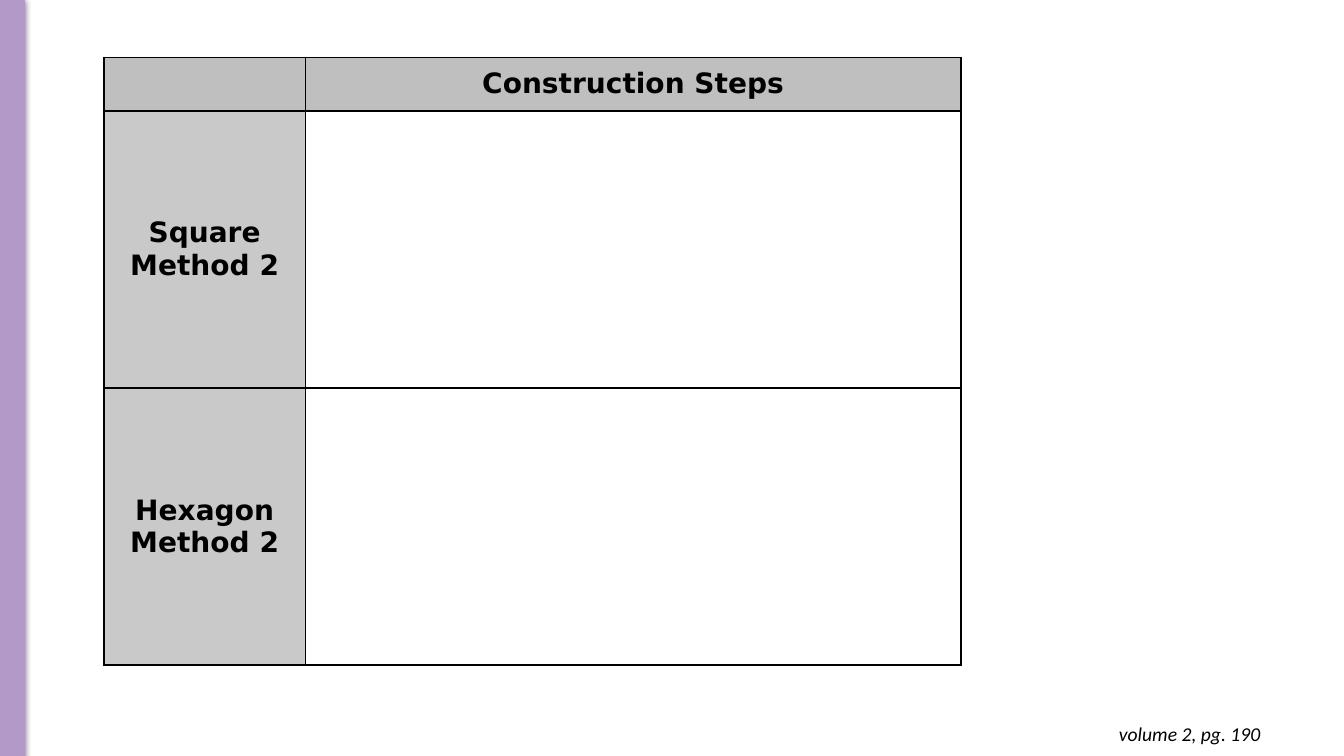
import pptx
import pptx.dml.color
import pptx.enum.shapes
import pptx.enum.text
import pptx.oxml
import pptx.oxml.ns
import pptx.util

PX = 9144
COLORS = {"accent": "B399C8", "header": "BFBFBF", "label": "C9C9C9", "ink": "000000"}
ALIGN = pptx.enum.text.PP_ALIGN
HEADING = {"size": pptx.util.Pt(20), "name": "DejaVu Sans", "bold": True}
REFERENCE = {"size": pptx.util.Pt(14), "name": "Calibri", "italic": True}


def px(value):
    return pptx.util.Emu(value * PX)


def color(key):
    return pptx.dml.color.RGBColor.from_string(COLORS[key])


def xml(tag, content):
    return pptx.oxml.parse_xml(
        f'<a:{tag} {pptx.oxml.ns.nsdecls("a")}>{content}</a:{tag.split()[0]}>')


def apply(target, values):
    for key, value in values.items():
        setattr(target, key, value)


def write(frame, text, font, align):
    paragraph = frame.paragraphs[0]
    paragraph.text = text
    paragraph.alignment = align
    for run in paragraph.runs:
        apply(run.font, font)
        run.font.color.rgb = color("ink")
    return paragraph


def add_side_bar(slide):
    bar = slide.shapes.add_shape(
        pptx.enum.shapes.MSO_SHAPE.RECTANGLE, px(0), px(-1), px(24), px(751))
    bar.fill.solid()
    bar.fill.fore_color.rgb = color("accent")
    bar.line.color.rgb = color("accent")
    bar.line.width = pptx.util.Pt(0.75)
    bar.shadow.inherit = False
    effects = bar.element.spPr.find(pptx.oxml.ns.qn("a:effectLst"))
    effects.append(xml(
        'outerShdw blurRad="57150" dist="19050" dir="5400000" algn="ctr" rotWithShape="0"',
        f'<a:srgbClr val="{COLORS["ink"]}"><a:alpha val="50000"/></a:srgbClr>'))


def format_cell(cell, fill):
    if fill:
        cell.fill.solid()
        cell.fill.fore_color.rgb = color(fill)
    else:
        cell.fill.background()
    properties = cell._tc.get_or_add_tcPr()
    for position, side in enumerate("LRTB"):
        properties.insert(position, xml(
            f'ln{side} w="19050"',
            f'<a:solidFill><a:srgbClr val="{COLORS["ink"]}"/></a:solidFill>'))


def label_cell(cell, text, side_margin, end_margin, space_after):
    apply(cell, {
        "vertical_anchor": pptx.enum.text.MSO_ANCHOR.MIDDLE,
        "margin_left": px(side_margin), "margin_right": px(side_margin),
        "margin_top": px(end_margin), "margin_bottom": px(end_margin)})
    paragraph = write(cell.text_frame, text, HEADING, ALIGN.CENTER)
    paragraph.space_after = pptx.util.Pt(space_after)


def add_steps_table(slide, heading, methods):
    widths = [200, 650]
    heights = [53] + [275] * len(methods)
    steps = slide.shapes.add_table(
        len(heights), len(widths), px(103), px(57),
        px(sum(widths)), px(sum(heights))).table
    apply(steps, {"first_row": False, "horz_banding": False})
    for column, width in zip(steps.columns, widths):
        column.width = px(width)
    for index, height in enumerate(heights):
        steps.rows[index].height = px(height)
        fills = ("label", None) if index else ("header", "header")
        for cell, fill in zip(steps.rows[index].cells, fills):
            format_cell(cell, fill)
    label_cell(steps.cell(0, 1), heading, 10, 10, 0)
    for index, method in enumerate(methods, 1):
        label_cell(steps.cell(index, 0), method, 3, 0, 10)


def add_page_reference(slide, text):
    frame = slide.shapes.add_textbox(px(972), px(706), px(288), px(44)).text_frame
    apply(frame, {"word_wrap": True,
                  "auto_size": pptx.enum.text.MSO_AUTO_SIZE.SHAPE_TO_FIT_TEXT})
    apply(frame, {f"margin_{side}": px(10) for side in ("left", "right", "top", "bottom")})
    write(frame, text, REFERENCE, ALIGN.RIGHT)


def main():
    deck = pptx.Presentation()
    apply(deck, {"slide_width": px(1333), "slide_height": px(750)})
    slide = deck.slides.add_slide(deck.slide_layouts[6])
    add_side_bar(slide)
    add_steps_table(slide, "Construction Steps", ["Square\vMethod 2", "Hexagon\vMethod 2"])
    add_page_reference(slide, "volume 2, pg. 190")
    deck.save("out.pptx")


if __name__ == "__main__":
    main()
